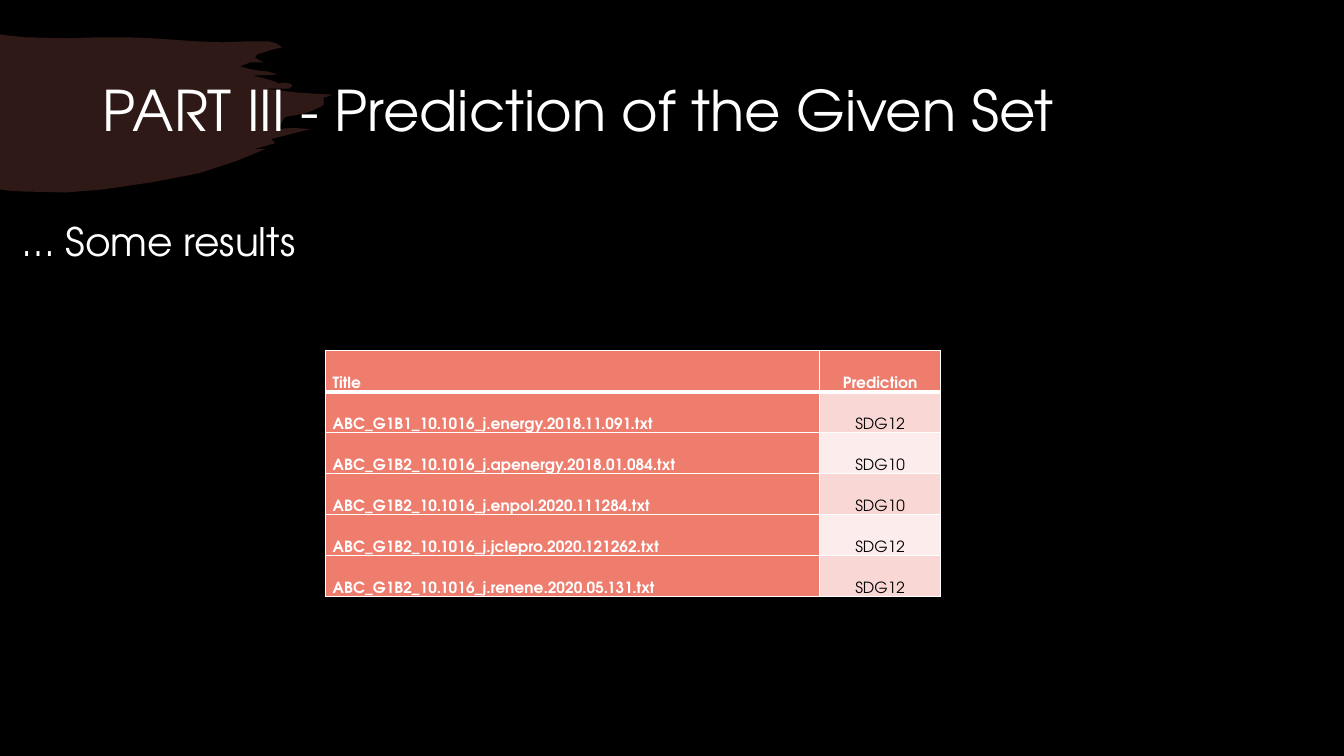
from lxml import etree
from pptx import Presentation
from pptx.dml.color import RGBColor
from pptx.enum.text import MSO_ANCHOR, MSO_AUTO_SIZE, PP_ALIGN
from pptx.oxml.ns import qn
from pptx.util import Inches, Pt

LEFT, CENTER = PP_ALIGN.LEFT, PP_ALIGN.CENTER
TOP, MIDDLE, BOTTOM = MSO_ANCHOR.TOP, MSO_ANCHOR.MIDDLE, MSO_ANCHOR.BOTTOM
NO_AUTOFIT = MSO_AUTO_SIZE.NONE

COLORS = {
    "black": "000000",
    "white": "FFFFFF",
    "coral": "EE7D6E",
    "band_dark": "F8D7D5",
    "band_light": "FCECEB",
}

# Outline of the brush stroke, in inches
BRUSH_OUTLINE = [
    (0, 0.34), (0.06, 0.35), (0.25, 0.37), (0.66, 0.38), (1.02, 0.37),
    (1.26, 0.37), (1.51, 0.38), (1.94, 0.41), (2.21, 0.42), (2.48, 0.41),
    (2.66, 0.41), (2.74, 0.43), (2.8, 0.47), (2.71, 0.49), (2.55, 0.54),
    (2.53, 0.57), (2.56, 0.59), (2.62, 0.62), (2.48, 0.62), (2.38, 0.66),
    (2.46, 0.68), (2.56, 0.7), (2.66, 0.71), (2.75, 0.74), (2.51, 0.75),
    (2.63, 0.78), (2.73, 0.81), (2.76, 0.83), (2.8, 0.82), (2.88, 0.83),
    (2.9, 0.85), (2.87, 0.88), (2.84, 0.88), (2.63, 0.88), (2.96, 0.92),
    (3.3, 0.94), (3.21, 0.97), (3.21, 1.04), (3.18, 1.06), (3.07, 1.11),
    (3, 1.13), (2.83, 1.16), (2.8, 1.2), (2.78, 1.25), (2.74, 1.28),
    (2.91, 1.27), (3.08, 1.28), (2.69, 1.38), (2.73, 1.42), (2.52, 1.48),
    (2.63, 1.48), (2.34, 1.6), (1.97, 1.72), (1.5, 1.81), (1.02, 1.88),
    (0.65, 1.91), (0.23, 1.9), (0.07, 1.89), (0, 1.88),
]

RESULTS = [
    ("Title", "Prediction"),
    ("ABC_G1B1_10.1016_j.energy.2018.11.091.txt", "SDG12"),
    ("ABC_G1B2_10.1016_j.apenergy.2018.01.084.txt", "SDG10"),
    ("ABC_G1B2_10.1016_j.enpol.2020.111284.txt", "SDG10"),
    ("ABC_G1B2_10.1016_j.jclepro.2020.121262.txt", "SDG12"),
    ("ABC_G1B2_10.1016_j.renene.2020.05.131.txt", "SDG12"),
]


def rgb(name):
    return RGBColor.from_string(COLORS[name])


class SlideBuilder:
    font = "TeX Gyre Adventor"

    def __init__(self, page):
        self.page = page

    def background(self, color):
        fill = self.page.background.fill
        fill.solid()
        fill.fore_color.rgb = rgb(color)

    def brush(self, points, color, opacity):
        scaled = [(Inches(x), Inches(y)) for x, y in points]
        builder = self.page.shapes.build_freeform(*scaled[0])
        builder.add_line_segments(scaled[1:], close=True)
        shape = builder.convert_to_shape()
        shape.shadow.inherit = False
        shape.line.fill.background()
        shape.fill.solid()
        shape.fill.fore_color.rgb = rgb(color)
        tint = shape._element.spPr.find(qn("a:solidFill"))[0]
        etree.SubElement(tint, qn("a:alpha"), val=str(opacity * 1000))

    def add_span(self, para, text, size, color="white", bold=False, align=LEFT):
        para.alignment = align
        span = para.add_run()
        span.text = text
        span.font.name = self.font
        span.font.size = Pt(size)
        span.font.bold = bold
        span.font.color.rgb = rgb(color)

    def frame(self, box, anchor):
        frame = box.text_frame
        frame.word_wrap = True
        frame.auto_size = NO_AUTOFIT
        frame.vertical_anchor = anchor
        return frame.paragraphs[0]

    def title(self, text, left, top, width, height):
        box = self.page.shapes.title
        box.left, box.top = Inches(left), Inches(top)
        box.width, box.height = Inches(width), Inches(height)
        para = self.frame(box, MIDDLE)
        para.line_spacing = 0.9
        self.add_span(para, text, 40)

    def text(self, text, left, top, width, height):
        box = self.page.shapes.add_textbox(
            Inches(left), Inches(top), Inches(width), Inches(height))
        para = self.frame(box, TOP)
        para.space_before = Pt(10)
        self.add_span(para, text, 28)

    def borders(self, cell, widths):
        properties = cell._tc.get_or_add_tcPr()
        for side, width in zip("LRTB", widths):
            line = etree.SubElement(
                properties, qn(f"a:ln{side}"), w=str(Pt(width)))
            fill = etree.SubElement(line, qn("a:solidFill"))
            etree.SubElement(fill, qn("a:srgbClr"), val=COLORS["white"])

    def cell(self, cell, text, fill, color, bold, align, widths):
        self.borders(cell, widths)
        cell.fill.solid()
        cell.fill.fore_color.rgb = rgb(fill)
        cell.vertical_anchor = BOTTOM
        cell.margin_left = cell.margin_right = Inches(0.07)
        cell.margin_top = cell.margin_bottom = 0
        para = cell.text_frame.paragraphs[0]
        para.line_spacing = 1.07
        para.space_after = Pt(8)
        self.add_span(para, text, 11, color, bold, align)

    def table(self, rows, left, top, column_widths, height):
        table = self.page.shapes.add_table(
            len(rows), len(column_widths), Inches(left), Inches(top),
            Inches(sum(column_widths)), Inches(height)).table
        table.first_row = table.horz_banding = False
        for column, width in zip(table.columns, column_widths):
            column.width = Inches(width)
        for r, row in enumerate(rows):
            # A thick rule separates the header from the results
            widths = (1, 1, 3 if r == 1 else 1, 3 if r == 0 else 1)
            for c, text in enumerate(row):
                strong = r == 0 or c == 0
                band = "band_dark" if r % 2 else "band_light"
                self.cell(
                    table.cell(r, c), text,
                    fill="coral" if strong else band,
                    color="white" if strong else "black",
                    bold=strong, align=CENTER if c else LEFT, widths=widths)


def main():
    deck = Presentation()
    deck.slide_width, deck.slide_height = Inches(13.33), Inches(7.5)
    page = deck.slides.add_slide(deck.slide_layouts[5])
    slide = SlideBuilder(page)

    # Backdrop, with the brush stroke behind the title
    slide.background("black")
    slide.brush(BRUSH_OUTLINE, "coral", opacity=20)
    tree = page.shapes._spTree
    tree.append(page.shapes.title._element)

    # Headings
    slide.title("PART III - Prediction of the Given Set", 0.92, 0.4, 11.5, 1.45)
    slide.text("… Some results", 0.13, 2.11, 13.04, 5.08)

    # Predictions
    slide.table(RESULTS, 3.23, 3.48, column_widths=(4.9, 1.2), height=2.44)

    deck.save("out.pptx")


if __name__ == "__main__":
    main()
